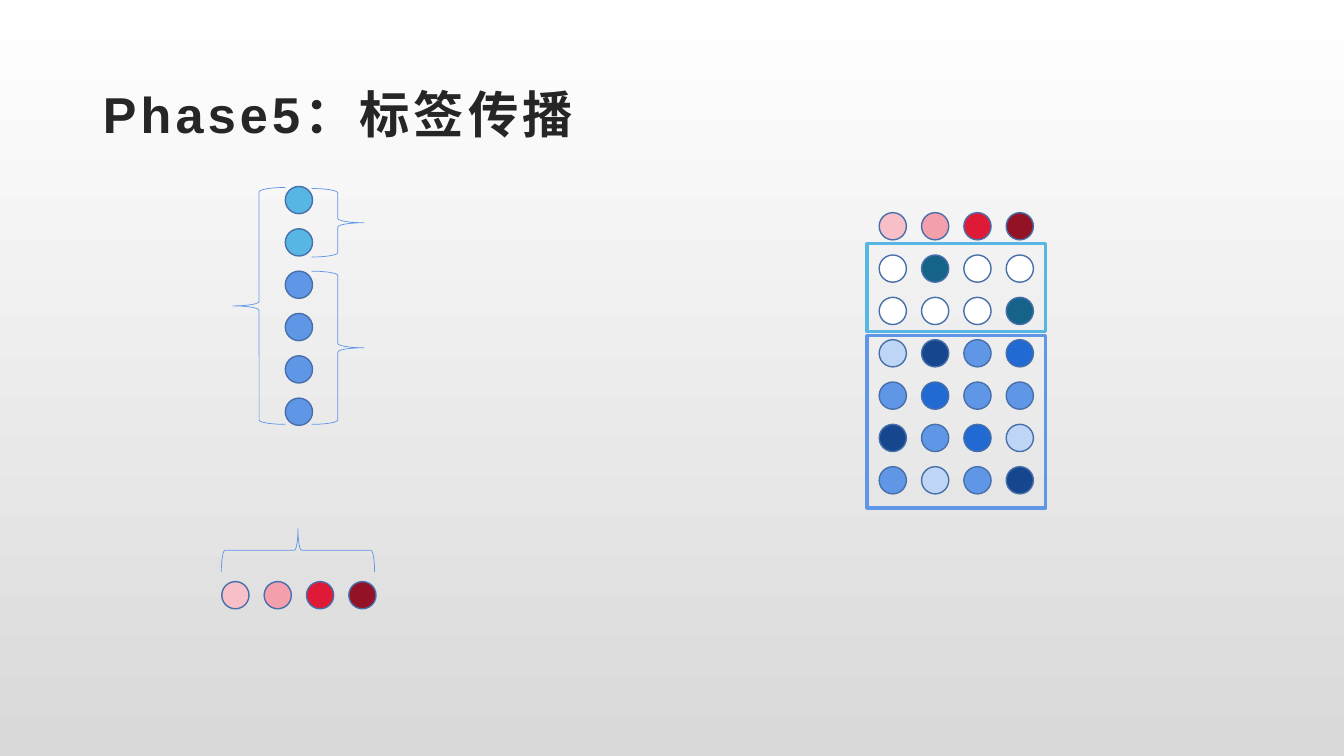
"""Build the label propagation slide with its node column, labels and matrix."""
from pptx import Presentation
from pptx.dml.color import RGBColor
from pptx.enum.shapes import MSO_SHAPE as SHAPE
from pptx.enum.text import MSO_ANCHOR, MSO_AUTO_SIZE, PP_ALIGN
from pptx.util import Inches, Pt

TITLE = "Phase5：标签传播"
CYAN, BLUE, OUTLINE = "58B6E5", "6096E6", "476FAA"
WHITE, TEAL = "FFFFFF", "156389"
PALE, MID, NAVY = "BFD5F5", "2169D3", "16468D"
LABELS = ["F7BFC7", "F49FAC", "DE1A37", "941225"]
NODES = [CYAN] * 2 + [BLUE] * 4
MATRIX = [
    LABELS,
    [WHITE, TEAL, WHITE, WHITE],
    [WHITE, WHITE, WHITE, TEAL],
    [PALE, NAVY, BLUE, MID],
    [BLUE, MID, BLUE, BLUE],
    [NAVY, BLUE, MID, PALE],
    [BLUE, PALE, BLUE, NAVY],
]
DOT_GRIDS = [
    (2.83, 1.85, [[color] for color in NODES]),
    (2.2, 5.77, [LABELS]),
    (8.72, 2.11, MATRIX),
]
BRACES = [
    (SHAPE.LEFT_BRACE, (2.31, 1.86, 0.52, 2.35), 0),
    (SHAPE.RIGHT_BRACE, (3.09, 1.87, 0.52, 0.68), 0),
    (SHAPE.RIGHT_BRACE, (3.09, 2.69, 0.52, 1.52), 0),
    (SHAPE.LEFT_BRACE, (2.74, 4.7, 0.43, 1.52), 90),
]
FRAMES = [((8.6, 2.42, 1.77, 0.87), CYAN), ((8.6, 3.33, 1.77, 1.71), BLUE)]
DOT, STEP = 0.27, 0.42


def rgb(color):
    return RGBColor.from_string(color)


def add_shape(s, kind, box, line, width, fill=None, rotation=0):
    sp = s.shapes.add_shape(kind, *map(Inches, box))
    sp.shadow.inherit = False
    sp.rotation = rotation
    if fill:
        sp.fill.solid()
        sp.fill.fore_color.rgb = rgb(fill)
    else:
        sp.fill.background()
    sp.line.color.rgb = rgb(line)
    sp.line.width = Pt(width)


def set_text(tf, text, size, color, font="Arial", bold=False, spacing=0):
    tf.word_wrap = True
    tf.auto_size = MSO_AUTO_SIZE.NONE
    tf.vertical_anchor = MSO_ANCHOR.MIDDLE
    p = tf.paragraphs[0]
    p.alignment = PP_ALIGN.LEFT
    r = p.add_run()
    r.text = text
    r.font.name, r.font.size, r.font.bold = font, Pt(size), bold
    r.font.color.rgb = rgb(color)
    r.font._element.set("spc", str(spacing * 100))


def set_background(s, colors):
    fill = s.background.fill
    fill.gradient()
    fill.gradient_angle = 270
    for position, (stop, color) in enumerate(zip(fill.gradient_stops, colors)):
        stop.position = position
        stop.color.rgb = rgb(color)


def main():
    prs = Presentation()
    prs.slide_width, prs.slide_height = Inches(13.33), Inches(7.5)
    s = prs.slides.add_slide(prs.slide_layouts[5])
    set_background(s, ["FFFFFF", "D9D9D9"])

    title = s.shapes.title
    title.left, title.top = Inches(0.92), Inches(0.4)
    title.width, title.height = Inches(11.5), Inches(1.45)
    set_text(title.text_frame, TITLE, 36, "262626", bold=True, spacing=3)

    for kind, box, rotation in BRACES:
        add_shape(s, kind, box, BLUE, 0.5, rotation=rotation)
    for left, top, rows in DOT_GRIDS:
        for i, row in enumerate(rows):
            for j, color in enumerate(row):
                box = (left + j * STEP, top + i * STEP, DOT, DOT)
                add_shape(s, SHAPE.OVAL, box, OUTLINE, 1, fill=color)
    for box, color in FRAMES:
        add_shape(s, SHAPE.RECTANGLE, box, color, 2.25)

    prs.save("out.pptx")


if __name__ == "__main__":
    main()
